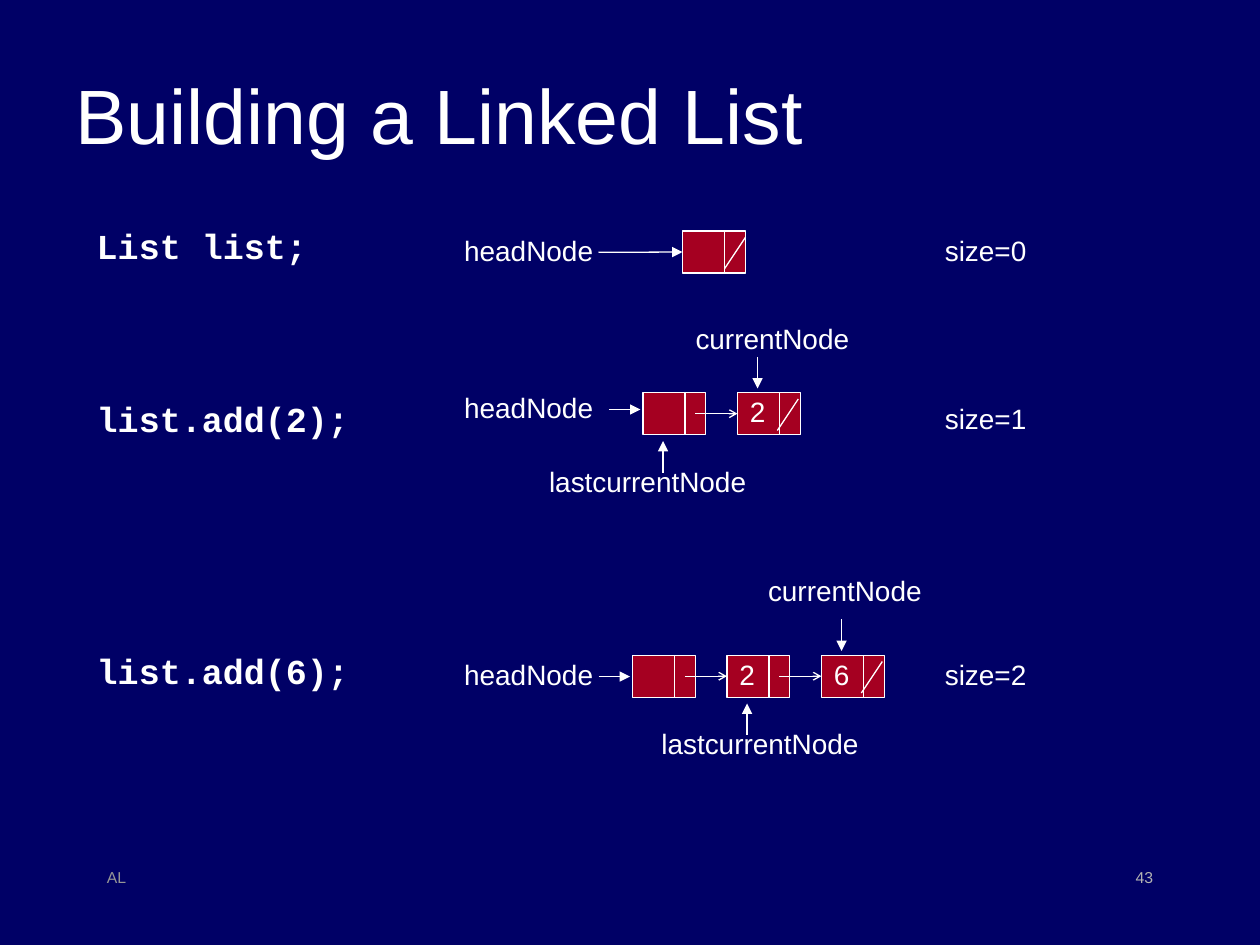
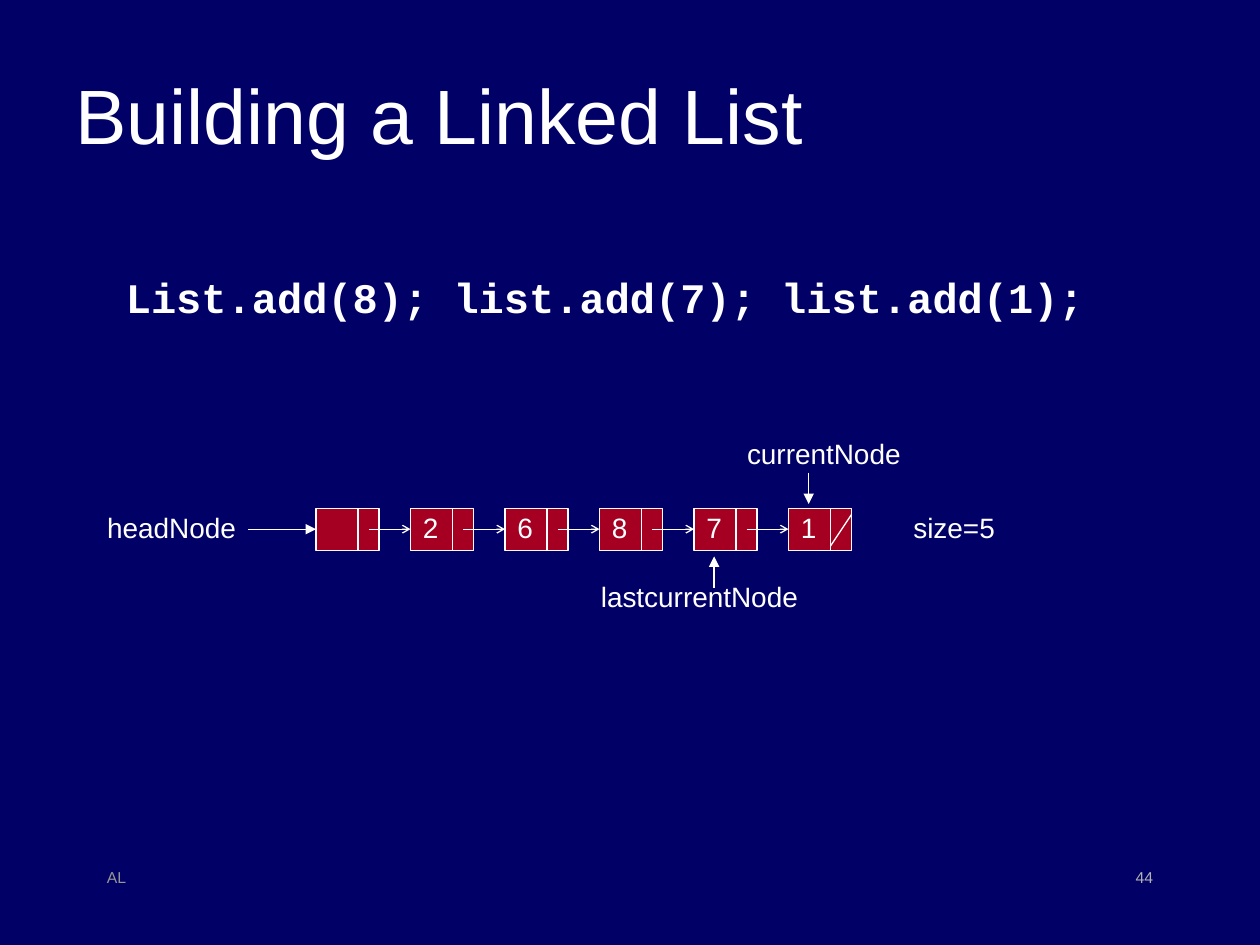
from lxml import etree
from pptx import Presentation
from pptx import util as u
from pptx.dml.color import RGBColor
from pptx.enum import shapes, text
from pptx.oxml import ns

NAVY = RGBColor(0x00, 0x00, 0x66)
RED = RGBColor(0xA5, 0x00, 0x21)
WHITE = RGBColor(0xFF, 0xFF, 0xFF)
SILVER = RGBColor(0xB2, 0xB2, 0xB2)
GRAY = RGBColor(0x96, 0x96, 0x96)

SANS, MONO = "Arial", "Courier New"
LEFT, MID, RIGHT = text.PP_ALIGN.LEFT, text.PP_ALIGN.CENTER, text.PP_ALIGN.RIGHT
TOP, CENTER = text.MSO_ANCHOR.TOP, text.MSO_ANCHOR.MIDDLE
FIXED, GROW = text.MSO_AUTO_SIZE.NONE, text.MSO_AUTO_SIZE.SHAPE_TO_FIT_TEXT

NODE_W, NODE_H, PITCH = 36, 24, 54
CELL = 24        # width of a node's value cell
AIM = 11.5       # where pointers meet a node, from its left side
LABEL_H = 26.6
WIDTHS = {"headNode": 88, "currentNode": 102.4, "lastcurrentNode": 127.4}
SIZE_W = 61.2


class Deck:
    """Holds the presentation, its style and the current slide."""

    def __init__(self):
        self.prs = Presentation()
        self.prs.slide_width, self.prs.slide_height = u.Pt(720), u.Pt(540)
        self.slide = None

    def page(self, title, number):
        """Start a slide with its background, title and footers."""
        self.slide = self.prs.slides.add_slide(self.prs.slide_layouts[6])
        fill = self.slide.background.fill
        fill.solid()
        fill.fore_color.rgb = NAVY
        self.text(title, 36, 28.8, 648, 72, size=44, anchor=CENTER)
        self.text(str(number), 516, 492.3, 150, 36, size=9, color=SILVER, align=RIGHT)
        self.text("AL", 54, 492.3, 150, 36, size=9, color=GRAY)

    def text(self, words, x, y, w, h=LABEL_H, size=16, font=SANS, color=WHITE,
             bold=False, align=LEFT, anchor=TOP, wrap=True, spacing=None):
        box = self.slide.shapes.add_textbox(u.Pt(x), u.Pt(y), u.Pt(w), u.Pt(h))
        frame = box.text_frame
        frame.auto_size = FIXED if wrap else GROW
        frame.word_wrap, frame.vertical_anchor = wrap, anchor
        para = frame.paragraphs[0]
        para.alignment, para.line_spacing = align, spacing
        run = para.add_run()
        run.text = words
        run.font.size, run.font.name, run.font.bold = u.Pt(size), font, bold
        run.font.color.rgb = color

    def code(self, words, x, y, w, size=20):
        self.text(words, x, y, w, size=size, font=MONO, bold=True, spacing=0.8)

    def label(self, words, x, y):
        self.text(words, x, y, WIDTHS.get(words, SIZE_W), align=MID, wrap=False)

    def line(self, x1, y1, x2, y2, head=None, goal=None):
        """Draw a line, with an optional arrowhead, joined to the goal's left side."""
        line = self.slide.shapes.add_connector(
            shapes.MSO_CONNECTOR.STRAIGHT, u.Pt(x1), u.Pt(y1), u.Pt(x2), u.Pt(y2))
        line.line.color.rgb, line.line.width = WHITE, u.Pt(0.75)
        if head:
            scale = "sm" if head == "arrow" else "med"
            etree.SubElement(line.line._get_or_add_ln(), ns.qn("a:tailEnd"),
                             type=head, w=scale, len=scale)
        etree.SubElement(line._element.spPr, ns.qn("a:effectLst"))
        if goal is not None:
            line.end_connect(goal, 1)

    def node(self, x, y, value):
        box = self.slide.shapes.add_shape(
            shapes.MSO_SHAPE.RECTANGLE, u.Pt(x), u.Pt(y), u.Pt(NODE_W), u.Pt(NODE_H))
        box.shadow.inherit = False
        box.fill.solid()
        box.fill.fore_color.rgb = RED
        box.line.color.rgb, box.line.width = WHITE, u.Pt(0.75)
        self.line(x + CELL, y, x + CELL, y + NODE_H)
        if value:
            self.text(value, x, y - 2.4, 28.8)
        return box

    def chain(self, x, y, values, slant=0):
        """Draw linked nodes; a slash, moved by slant, ends the last. Return the first."""
        spots = [x + i * PITCH for i in range(len(values))]
        nodes = [self.node(spot, y, value) for spot, value in zip(spots, values)]
        mid = y + NODE_H / 2
        for spot, goal in zip(spots, nodes[1:]):
            self.line(spot + 30, mid, spot + PITCH, mid, "arrow", goal)
        end = spots[-1] + slant
        self.line(end + NODE_W, y + 3.6, end + CELL, y + 21.6)
        return nodes[0]

    def head(self, x, y, start, end, goal=None):
        self.label("headNode", x, y)
        self.line(start, y + 14.4, end, y + 14.4, "triangle", goal)

    def marks(self, x, y, count, now_x, last_x, rise=44.4):
        """Point at the last node from above and at the one before from below."""
        last = x + (count - 2) * PITCH + AIM
        now = last + PITCH
        self.label("currentNode", now_x, y - rise)
        self.line(now, y - 20.4, now, y - 2.4, "triangle")
        self.label("lastcurrentNode", last_x, y + 37.4)
        self.line(last, y + 45.6, last, y + 27.6, "triangle")


def steps(deck):
    deck.page("Building a Linked List", 43)
    codes = ("List list;", 129.6), ("list.add(2);", 228.2), ("list.add(6);", 372.2)
    for words, y in codes:
        deck.code(words, 48.2, y, 184)
    for count, y in enumerate((130, 226, 372.2)):
        deck.label(f"size={count}", 532.6, y)

    first = deck.chain(390, 132, [""])
    deck.head(258.1, 129.8, 342, 390, first)

    deck.chain(367.4, 224.4, ["", "2"], slant=-1.2)
    deck.head(258.1, 219.6, 348, 366)
    deck.marks(367.4, 224.4, 2, now_x=390.2, last_x=306.4)

    deck.chain(361.4, 374.4, ["", "2", "6"], slant=-1.2)
    deck.head(258.1, 372.2, 342, 360)
    deck.marks(361.4, 374.4, 3, now_x=431.6, last_x=370.6, rise=50.4)


def result(deck):
    deck.page("Building a Linked List", 44)
    deck.code("List.add(8); list.add(7); list.add(1);", 64.8, 157, 619, size=24)
    values = ["", "2", "6", "8", "7", "1"]
    first = deck.chain(180.6, 290.4, values)
    deck.head(54, 288, 142, 180.6, first)
    deck.marks(180.6, 290.4, len(values), now_x=419.6, last_x=336)
    deck.label("size=5", 514.6, 288)


def main():
    deck = Deck()
    steps(deck)
    result(deck)
    deck.prs.save("out.pptx")


if __name__ == "__main__":
    main()
